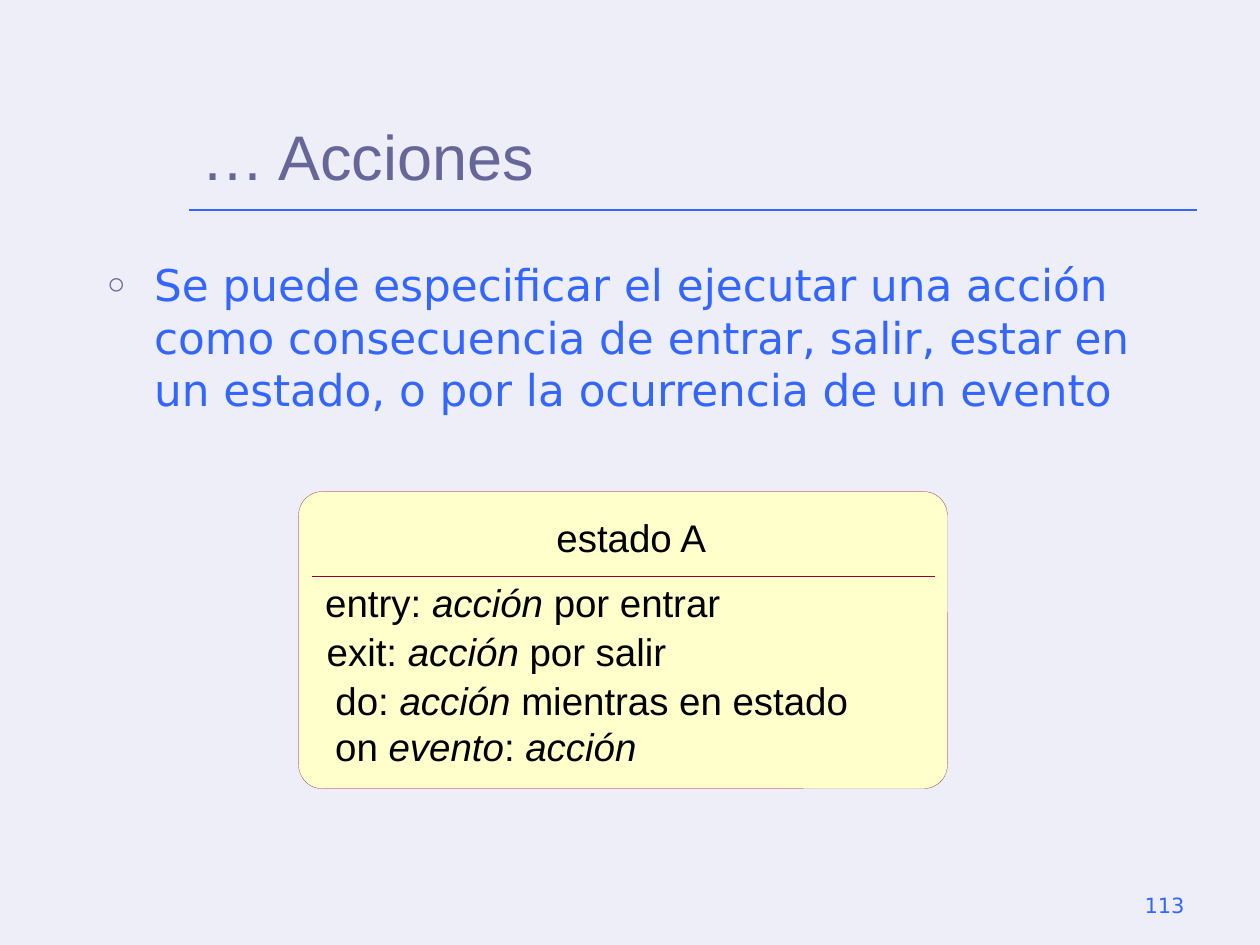
"""Build the slide on state actions, with the notation of one state."""
from lxml import etree
from pptx import Presentation
from pptx.dml.color import RGBColor
from pptx.enum.shapes import MSO_CONNECTOR, MSO_SHAPE
from pptx.enum.text import MSO_ANCHOR, MSO_AUTO_SIZE, PP_ALIGN
from pptx.oxml.ns import qn
from pptx.util import Cm, Pt

STRAIGHT = MSO_CONNECTOR.STRAIGHT
ROUNDED = MSO_SHAPE.ROUNDED_RECTANGLE
TOP, BOTTOM = MSO_ANCHOR.TOP, MSO_ANCHOR.BOTTOM
LEFT, CENTER, RIGHT = PP_ALIGN.LEFT, PP_ALIGN.CENTER, PP_ALIGN.RIGHT
FIT = MSO_AUTO_SIZE.SHAPE_TO_FIT_TEXT

BLUE, VIOLET, CRIMSON, BLACK = "3366FF", "666699", "990033", "000000"
CREAM, BACKGROUND = "FFFFCC", "EEEEF8"
SANS, BODY_FONT = "Arial", "DejaVu Sans"
HAIRLINE = 0.1

TITLE = "… Acciones"
BODY = ("Se puede especificar el ejecutar una acción como consecuencia de entrar, "
        "salir, estar en un estado, o por la ocurrencia de un evento")
PAGE_NUMBER = "113"
STATE_BOX = (6.02, 9.91, 13.08, 5.99)
STATE_LINES = [
    ((11.2, 10.36, 3.05), [("estado A", False)]),
    ((6.55, 11.68, 7.98), [("entry: ", False), ("acción", True), (" por entrar", False)]),
    ((6.58, 12.66, 6.86), [("exit: ", False), ("acción", True), (" por salir", False)]),
    ((6.76, 13.64, 10.34), [("do: ", False), ("acción", True), (" mientras en estado", False)]),
    ((6.76, 14.58, 6.07), [("on ", False), ("evento", True), (": ", False), ("acción", True)]),
]
LINE_HEIGHT, SLACK = 0.94, 0.06
DIVIDER_INSET, DIVIDER_TOP = 0.26, 11.61


def color(value):
    return RGBColor.from_string(value)


def add_text(slide, box, runs, font, size, fill, align=LEFT, anchor=TOP, label=False):
    shape = slide.shapes.add_textbox(*map(Cm, box))
    frame = shape.text_frame
    frame.word_wrap = not label
    frame.vertical_anchor = anchor
    if label:
        frame.auto_size = FIT
        frame.margin_left = frame.margin_right = frame.margin_top = frame.margin_bottom = 0
    paragraph = frame.paragraphs[0]
    paragraph.alignment = align
    for text, italic in runs:
        run = paragraph.add_run()
        run.text = text
        run.font.name, run.font.size, run.font.italic = font, Pt(size), italic
        run.font.color.rgb = color(fill)
    return paragraph


def add_bullet(paragraph, character, font, fill, percent, indent):
    properties = paragraph._p.get_or_add_pPr()
    properties.set("marL", str(Cm(indent)))
    properties.set("indent", str(-Cm(indent)))
    bullet_color = etree.SubElement(properties, qn("a:buClr"))
    etree.SubElement(bullet_color, qn("a:srgbClr"), val=fill)
    etree.SubElement(properties, qn("a:buSzPct"), val=str(percent * 1000))
    etree.SubElement(properties, qn("a:buFont"), typeface=font)
    etree.SubElement(properties, qn("a:buChar"), char=character)


def add_rule(slide, left, right, top, fill, width):
    rule = slide.shapes.add_connector(STRAIGHT, Cm(left), Cm(top), Cm(right), Cm(top))
    rule.line.color.rgb = color(fill)
    rule.line.width = Pt(width)
    etree.SubElement(rule._element.spPr, qn("a:effectLst"))


def add_state(slide):
    box_left, _, box_width, _ = STATE_BOX
    shape = slide.shapes.add_shape(ROUNDED, *map(Cm, STATE_BOX))
    shape.adjustments[0] = 0.08
    shape.shadow.inherit = False
    shape.fill.solid()
    shape.fill.fore_color.rgb = color(CREAM)
    shape.line.color.rgb = color(CRIMSON)
    shape.line.width = Pt(HAIRLINE)
    add_rule(slide, box_left + DIVIDER_INSET, box_left + box_width - DIVIDER_INSET,
             DIVIDER_TOP, CRIMSON, HAIRLINE)
    for (left, top, width), runs in STATE_LINES:
        box = (left - SLACK, top, width + 2 * SLACK, LINE_HEIGHT)
        add_text(slide, box, runs, SANS, 22, BLACK, CENTER, label=True)


def main():
    presentation = Presentation()
    presentation.slide_width, presentation.slide_height = Cm(25.4), Cm(19.05)
    slide = presentation.slides.add_slide(presentation.slide_layouts[6])
    slide.background.fill.solid()
    slide.background.fill.fore_color.rgb = color(BACKGROUND)

    add_rule(slide, 3.81, 24.13, 4.23, BLUE, 1)
    add_text(slide, (18.21, 17.35, 5.92, 1.27), [(PAGE_NUMBER, False)],
             BODY_FONT, 12, BLUE, RIGHT, BOTTOM)
    add_text(slide, (3.81, 0.84, 20.32, 3.18), [(TITLE, False)], SANS, 36, VIOLET, anchor=BOTTOM)
    body = add_text(slide, (1.91, 5.08, 21.59, 12.32), [(BODY, False)], BODY_FONT, 25, BLUE)
    add_bullet(body, "○", SANS, VIOLET, 70, 0.95)
    add_state(slide)
    presentation.save("out.pptx")


if __name__ == "__main__":
    main()
